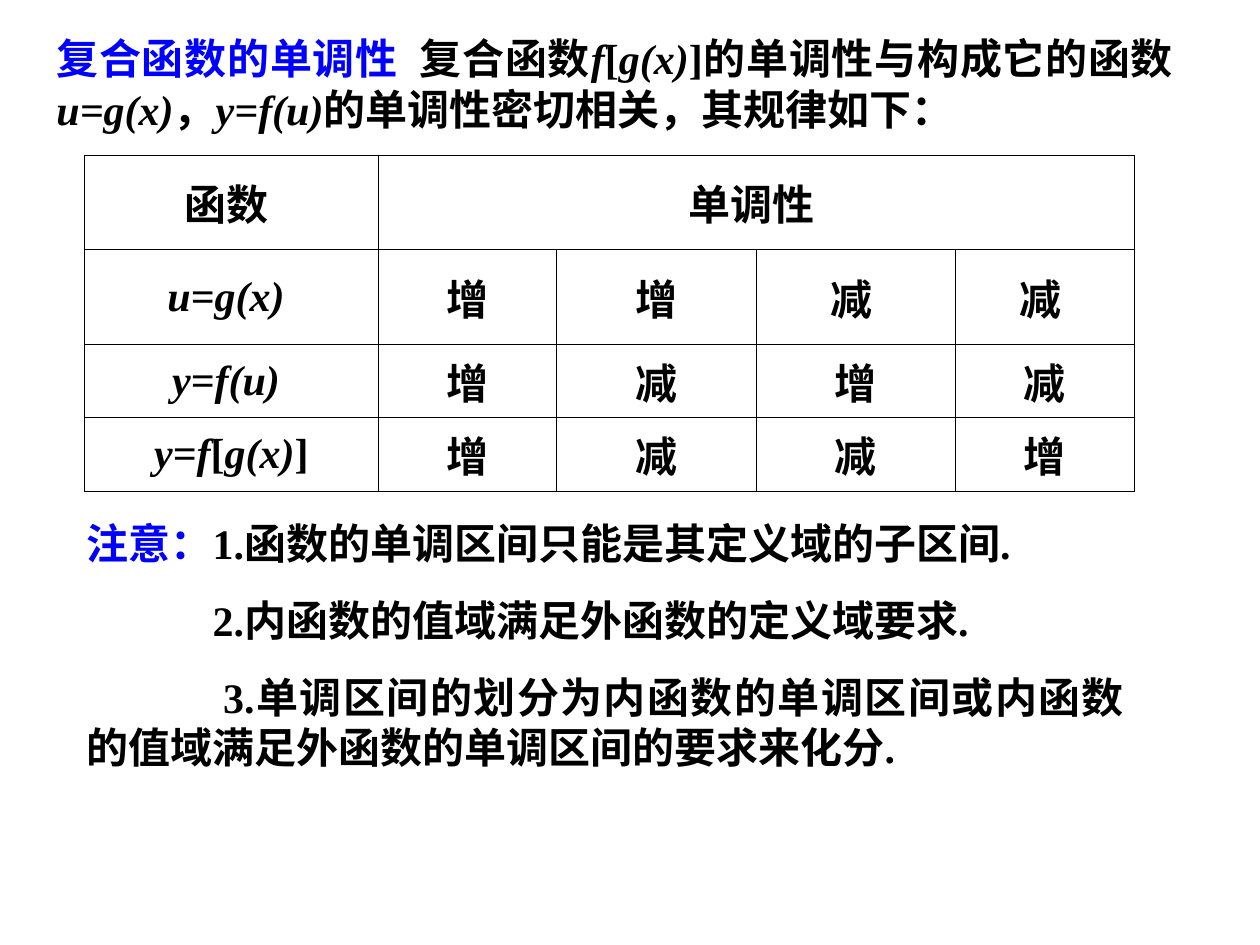
from dataclasses import dataclass

from lxml.etree import SubElement
from pptx import Presentation
from pptx.dml.color import RGBColor
from pptx.enum.text import MSO_ANCHOR, MSO_AUTO_SIZE, PP_ALIGN
from pptx.oxml.ns import qn
from pptx.util import Pt


@dataclass(frozen=True)
class Theme:
    ink: RGBColor = RGBColor(0, 0, 0)
    accent: RGBColor = RGBColor(0, 0, 255)
    latin: str = "Times New Roman"
    chinese: str = "Noto Sans CJK SC"
    size: float = 24
    border: float = 0.45
    paragraph_gap: float = 15
    word_gap: float = 6


THEME = Theme()

# Each piece of text is (wording, style): plain, math, lead or gap
INTRO = [
    ("复合函数的单调性", "lead"), (" ", "gap"), ("复合函数", "plain"),
    ("f", "math"), ("[", "plain"), ("g(x)", "math"),
    ("]的单调性与构成它的函数", "plain"), ("u=g(x)", "math"),
    ("，", "plain"), ("y=f(u)", "math"),
    ("的单调性密切相关，其规律如下：", "plain"),
]
HEADINGS = ["函数 ", "单调性 "]
RULES = [
    ([("u=g(x) ", "math")], ["增", "增", "减 ", "减 "]),
    ([("y=f(u) ", "math")], ["增", "减", "增", "减"]),
    ([("y=f", "math"), ("[", "plain"), ("g(x)", "math"), ("]", "plain")],
     ["增", "减", "减", "增"]),
]
# Notes with their first-line indents
NOTES = [
    ([("注意：", "lead"), ("1.函数的单调区间只能是其定义域的子区间.", "plain")], 0),
    ([("2.内函数的值域满足外函数的定义域要求.", "plain")], 72),
    ([("3.单调区间的划分为内函数的单调区间或内函数的值域满足外函数的单调区间的要求来化分.",
       "plain")], 78),
]


def write(paragraph, pieces, alignment):
    paragraph.alignment = alignment
    for wording, style in pieces:
        run = paragraph.add_run()
        run.text = wording
        run.font.size = Pt(THEME.size)
        run.font.bold = True
        run.font.italic = style == "math"
        run.font.color.rgb = THEME.accent if style == "lead" else THEME.ink
        run.font.name = THEME.latin
        properties = run._r.get_or_add_rPr()
        SubElement(properties, qn("a:ea"), typeface=THEME.chinese)
        if style == "gap":
            properties.set("spc", str(int(THEME.word_gap * 100)))


def add_passage(slide, box, passages):
    """Justified paragraphs, each given as pieces and a first-line indent."""
    frame = slide.shapes.add_textbox(*map(Pt, box)).text_frame
    frame.word_wrap = True
    frame.auto_size = MSO_AUTO_SIZE.SHAPE_TO_FIT_TEXT
    for index, (pieces, indent) in enumerate(passages):
        paragraph = frame.add_paragraph() if index else frame.paragraphs[0]
        if index:
            paragraph.space_before = Pt(THEME.paragraph_gap)
        if indent:
            paragraph._p.get_or_add_pPr().set("indent", str(Pt(indent)))
        write(paragraph, pieces, PP_ALIGN.JUSTIFY)


def outline(cell):
    properties = cell._tc.get_or_add_tcPr()
    for side in ("lnL", "lnR", "lnT", "lnB"):
        line = SubElement(properties, qn(f"a:{side}"), w=str(Pt(THEME.border)))
        fill = SubElement(line, qn("a:solidFill"))
        SubElement(fill, qn("a:srgbClr"), val=str(THEME.ink))
    cell.fill.background()


def add_rules_table(slide, box):
    left, top, width, height = box
    column_shares = [0.28, 0.17, 0.19, 0.19, 0.17]
    row_shares = [9 / 32, 9 / 32, 7 / 32, 7 / 32]
    table = slide.shapes.add_table(
        len(row_shares), len(column_shares), *map(Pt, box)).table
    table.first_row = table.horz_banding = False
    for column, share in zip(table.columns, column_shares):
        column.width = Pt(width * share)
    for row, share in zip(table.rows, row_shares):
        row.height = Pt(height * share)
    table.cell(0, 1).merge(table.cell(0, 4))

    rows = [[[(heading, "plain")] for heading in HEADINGS]]
    rows += [[name] + [[(trend, "plain")] for trend in trends]
             for name, trends in RULES]
    for cell in table.iter_cells():
        outline(cell)
    for row_index, row in enumerate(rows):
        for column_index, pieces in enumerate(row):
            cell = table.cell(row_index, column_index)
            cell.vertical_anchor = MSO_ANCHOR.MIDDLE
            write(cell.text_frame.paragraphs[0], pieces, PP_ALIGN.CENTER)


def main():
    presentation = Presentation()
    presentation.slide_width, presentation.slide_height = Pt(720), Pt(540)
    slide = presentation.slides.add_slide(presentation.slide_layouts[6])

    # Introduction, table of rules, notes
    add_passage(slide, (25.2, 15.1, 652.3, 64.8), [(INTRO, 0)])
    add_rules_table(slide, (48.2, 88.6, 600, 192))
    add_passage(slide, (42.5, 292.3, 607, 152.6), NOTES)

    presentation.save("out.pptx")


if __name__ == "__main__":
    main()
